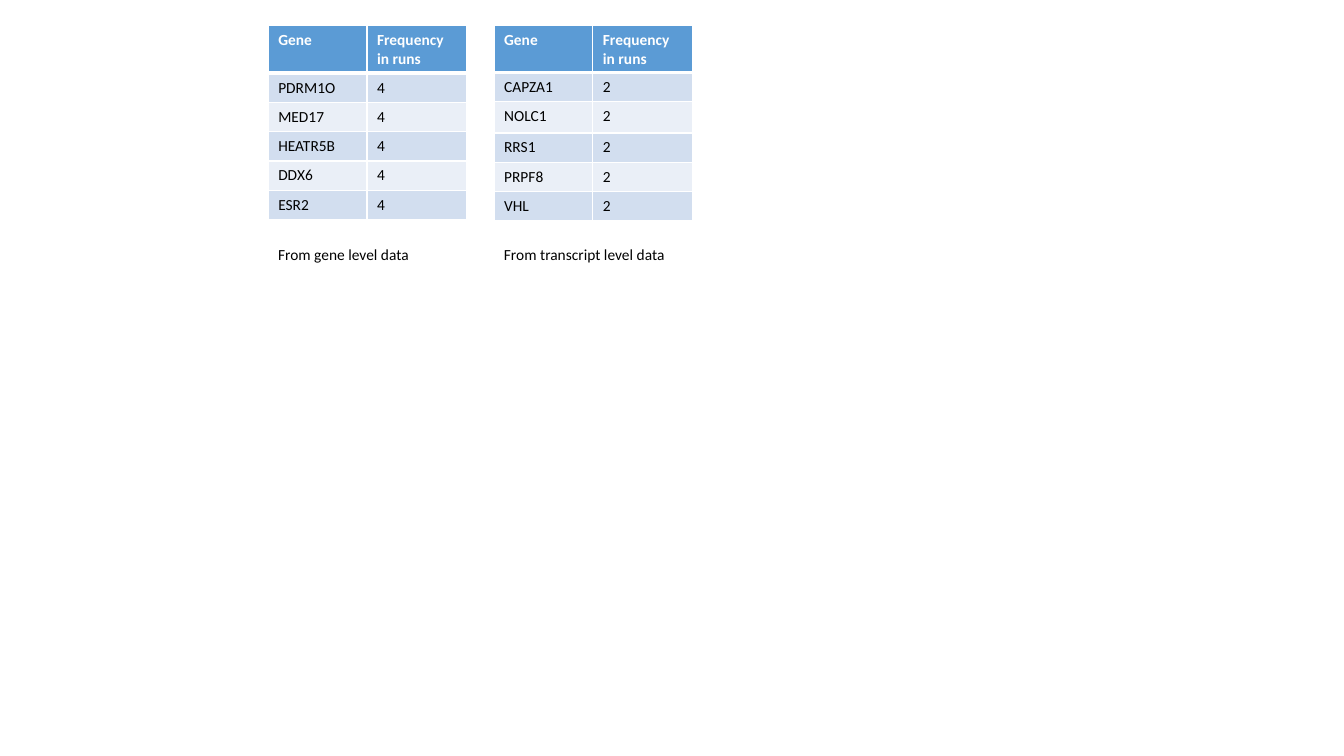
from lxml import etree
from pptx import Presentation
from pptx.dml.color import RGBColor
from pptx.enum.text import MSO_AUTO_SIZE
from pptx.oxml.ns import qn
from pptx.util import Inches, Pt

COLORS = {
    "header": "5B9BD5",
    "band_dark": "D2DEEF",
    "band_light": "EAEFF7",
    "white": "FFFFFF",
    "black": "000000",
}
SLIDE_WIDTH, SLIDE_HEIGHT = 13.33, 7.5
PANEL_LEFT, PANEL_TOP, PANEL_PITCH = 2.66, 0.25, 2.24
COLUMN_WIDTHS = (0.98, 0.99)
HEADER_HEIGHT, ROW_HEIGHT = 0.47, 0.29
CAPTION_OFFSET = 2.13

HEADINGS = ("Gene", "Frequency in runs")
PANELS = [
    {
        "caption": "From gene level data",
        "genes": ("PDRM1O", "MED17", "HEATR5B", "DDX6", "ESR2"),
        "frequency": 4,
        "row_heights": {},
    },
    {
        "caption": "From transcript level data",
        "genes": ("CAPZA1", "NOLC1", "RRS1", "PRPF8", "VHL"),
        "frequency": 2,
        "row_heights": {2: 0.31},
    },
]


def write_text(text_frame, text, color="black", bold=False, size=11, font="Calibri"):
    text_frame.word_wrap = True
    run = text_frame.paragraphs[0].add_run()
    run.text = text
    run.font.name = font
    run.font.size = Pt(size)
    run.font.bold = bold
    run.font.color.rgb = RGBColor.from_string(COLORS[color])


def set_borders(cell, color="white", **widths):
    """Draw cell borders; widths in points are keyed by side: L, R, T, B."""
    properties = cell._tc.get_or_add_tcPr()
    for side, width in widths.items():
        line = etree.SubElement(properties, qn(f"a:ln{side}"), w=str(Pt(width)))
        fill = etree.SubElement(line, qn("a:solidFill"))
        etree.SubElement(fill, qn("a:srgbClr"), val=COLORS[color])


def format_cell(cell, text, row):
    is_header = row == 0
    set_borders(cell, L=1, R=1, T=3 if row == 1 else 1, B=3 if is_header else 1)
    band = "header" if is_header else "band_dark" if row % 2 else "band_light"
    cell.fill.solid()
    cell.fill.fore_color.rgb = RGBColor.from_string(COLORS[band])
    write_text(cell.text_frame, text, color="white" if is_header else "black",
               bold=is_header)


def add_gene_table(slide, left, top, panel):
    rows = [HEADINGS] + [(gene, str(panel["frequency"])) for gene in panel["genes"]]
    heights = [HEADER_HEIGHT] + [panel["row_heights"].get(row, ROW_HEIGHT)
                                 for row in range(1, len(rows))]
    table = slide.shapes.add_table(
        len(rows), len(HEADINGS), Inches(left), Inches(top),
        Inches(sum(COLUMN_WIDTHS)), Inches(sum(heights))).table
    for column, width in zip(table.columns, COLUMN_WIDTHS):
        column.width = Inches(width)
    for row, (values, height) in enumerate(zip(rows, heights)):
        table.rows[row].height = Inches(height)
        for column, value in enumerate(values):
            format_cell(table.cell(row, column), value, row)


def add_caption(slide, left, top, text):
    caption = slide.shapes.add_textbox(
        Inches(left), Inches(top), Inches(sum(COLUMN_WIDTHS)), Inches(ROW_HEIGHT))
    write_text(caption.text_frame, text)
    caption.text_frame.auto_size = MSO_AUTO_SIZE.SHAPE_TO_FIT_TEXT


def add_panel(slide, left, top, panel):
    add_gene_table(slide, left, top, panel)
    add_caption(slide, left, top + CAPTION_OFFSET, panel["caption"])


def main():
    presentation = Presentation()
    presentation.slide_width = Inches(SLIDE_WIDTH)
    presentation.slide_height = Inches(SLIDE_HEIGHT)
    slide = presentation.slides.add_slide(presentation.slide_layouts[6])
    for index, panel in enumerate(PANELS):
        add_panel(slide, PANEL_LEFT + index * PANEL_PITCH, PANEL_TOP, panel)
    presentation.save("out.pptx")


if __name__ == "__main__":
    main()
